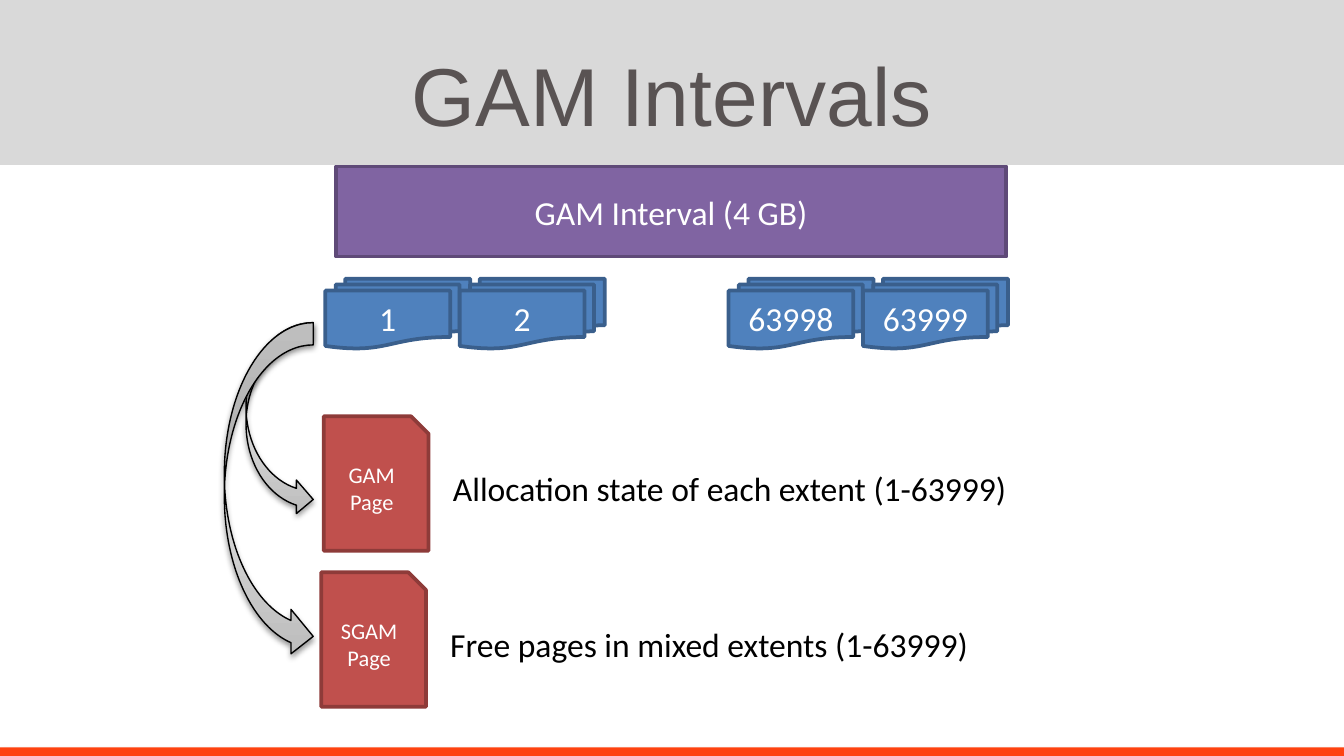
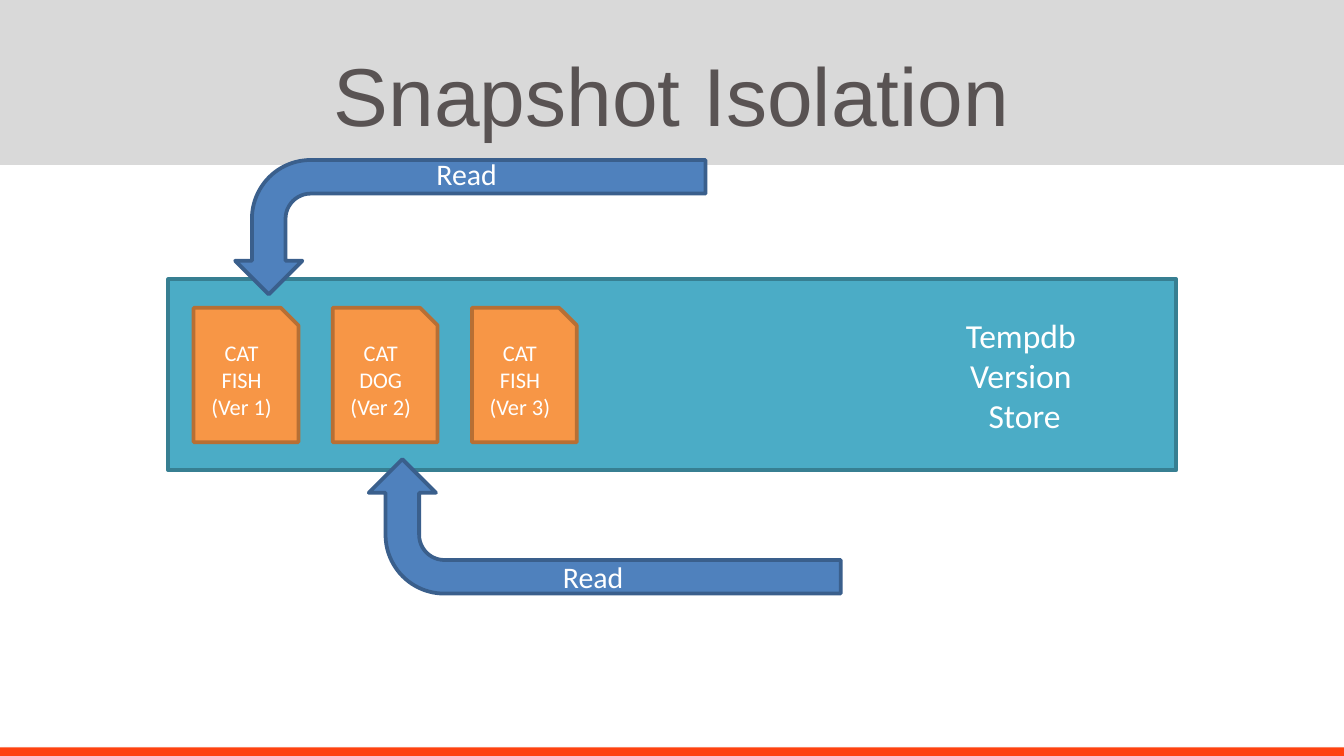
from lxml import etree
from pptx import Presentation
from pptx import util as u
from pptx.dml.color import RGBColor
from pptx.enum import shapes, text
from pptx.oxml.ns import qn

SHAPE = shapes.MSO_SHAPE
ALIGN = text.PP_ALIGN
WHITE, BLACK = "FFFFFF", "000000"
BAND, ACCENT, TITLE = "D9D9D9", "FE4210", "595353"
PURPLE = ("8064A2", "5F4A78")
BLUE = ("4F81BD", "3A5F8C")
RED = ("C0504D", "8E3B39")
TEAL = ("4BACC6", "377F92")
ORANGE = ("F79646", "B76F34")
GREYS = ((0, "BDBDBD"), (35, "D1D1D1"), (100, "EEEEEE"))
PAGE_W, PAGE_H = 1.98, 2.54


def rgb(value):
    return RGBColor.from_string(value)


def box(x, y, w, h):
    return [u.Cm(v) for v in (x, y, w, h)]


def node(parent, tag, **attrs):
    el = etree.SubElement(parent, qn(tag))
    for key, value in attrs.items():
        el.set(key, str(value))
    return el


def write(sp, content, size, color, font="Calibri", align=ALIGN.CENTER,
          anchor=text.MSO_ANCHOR.MIDDLE, wrap=True):
    tf = sp.text_frame
    for key, value in {"word_wrap": wrap, "vertical_anchor": anchor}.items():
        setattr(tf, key, value)
    for i, line in enumerate(content.split("\n")):
        p = tf.paragraphs[0] if i == 0 else tf.add_paragraph()
        p.alignment = align
        r = p.add_run()
        r.text = line
        for key, value in {"name": font, "size": u.Pt(size)}.items():
            setattr(r.font, key, value)
        r.font.color.rgb = rgb(color)


def add_shape(s, kind, place, fill, line=None, label="", size=18, width=2):
    sp = s.shapes.add_shape(kind, *box(*place))
    sp.shadow.inherit = False
    sp.fill.solid()
    sp.fill.fore_color.rgb = rgb(fill)
    if line:
        sp.line.color.rgb = rgb(line)
        sp.line.width = u.Pt(width)
    else:
        sp.line.fill.background()
    if label:
        write(sp, label, size, WHITE)
    return sp


def add_label(s, place, content, size, color=BLACK, align=ALIGN.LEFT):
    sp = s.shapes.add_textbox(*box(*place))
    write(sp, content, size, color, align=align,
          anchor=text.MSO_ANCHOR.TOP, wrap=False)
    sp.text_frame.auto_size = text.MSO_AUTO_SIZE.SHAPE_TO_FIT_TEXT


def add_shadow(sp, alpha, dist):
    effects = sp._element.spPr.find(qn("a:effectLst"))
    shadow = node(effects, "a:outerShdw", blurRad=u.Pt(3.1), dist=u.Pt(dist),
                  dir=5400000, rotWithShape=0)
    node(node(shadow, "a:srgbClr", val=BLACK), "a:alpha", val=alpha * 1000)


def add_page(s, x, y, colors, label):
    add_shape(s, SHAPE.SNIP_1_RECTANGLE, (x, y, PAGE_W, PAGE_H), *colors, label, 12)


def add_curved_arrow(s, place):
    sp = add_shape(s, SHAPE.CURVED_RIGHT_ARROW, place, GREYS[0][1], BLACK, width=0.75)
    sp.fill.gradient()
    grad = sp._element.spPr.find(qn("a:gradFill"))
    for child in list(grad):
        grad.remove(child)
    stops = node(grad, "a:gsLst")
    for pos, color in GREYS:
        node(node(stops, "a:gs", pos=pos * 1000), "a:srgbClr", val=color)
    node(grad, "a:lin", ang=16200000, scaled=1)
    add_shadow(sp, 38, 1.6)


def add_read_arrow(s, place, rotation, label_place, flip=False):
    sp = add_shape(s, SHAPE.BENT_ARROW, place, *BLUE)
    sp.rotation = rotation
    if flip:
        sp._element.spPr.find(qn("a:xfrm")).set("flipV", "1")
    add_label(s, label_place, "Read", 16, WHITE)


def add_slide(prs):
    s = prs.slides.add_slide(prs.slide_layouts[6])
    bar = add_shape(s, SHAPE.RECTANGLE, (0, 14.13, 25.4, 0.16), ACCENT)
    add_shadow(bar, 35, 1.8)
    add_shape(s, SHAPE.RECTANGLE, (0, 0, 25.4, 3.12), BAND)
    return s


def add_title(s, title):
    sp = s.shapes.add_textbox(*box(1.27, 0.58, 22.86, 2.39))
    write(sp, title, 44, TITLE, "Arial")


def gam_intervals(prs):
    s = add_slide(prs)
    add_title(s, "GAM Intervals")
    add_shape(s, SHAPE.RECTANGLE, (6.35, 3.15, 12.67, 1.7), *PURPLE,
              "GAM Interval (4 GB)")
    for column, extent in ((0, "1"), (1, "2"), (3, "63998"), (4, "63999")):
        add_shape(s, SHAPE.FLOWCHART_MULTIDOCUMENT,
                  (6.15 + 2.54 * column, 5.27, 2.74, 1.32), *BLUE, extent)
    for x, y, page, w, caption in (
            (6.12, 7.87, "GAM", 11.1, "Allocation state of each extent (1-63999)"),
            (6.07, 10.82, "SGAM", 10.41, "Free pages in mixed extents (1-63999)")):
        add_page(s, x, y, RED, page + "\nPage")
        add_label(s, (x + 2.19, y + 0.85, w, 1.02), caption, 18)
    add_curved_arrow(s, (4.65, 6.1, 1.27, 3.66))
    add_curved_arrow(s, (4.24, 6.1, 1.68, 6.35))


def snapshot_isolation(prs):
    s = add_slide(prs)
    add_shape(s, SHAPE.RECTANGLE, (3.18, 5.28, 19.05, 3.61), *TEAL)
    add_title(s, "Snapshot Isolation")
    add_read_arrow(s, (7.62, -0.15, 2.54, 8.89), 90, (8, 2.82, 1.68, 0.94), flip=True)
    add_read_arrow(s, (10.16, 5.49, 2.54, 8.92), 270, (10.39, 10.44, 1.68, 0.94))
    add_label(s, (17.98, 5.82, 2.77, 2.57), "Tempdb \nVersion \nStore", 18, WHITE,
              ALIGN.CENTER)
    for i, animal in enumerate(("FISH", "DOG", "FISH")):
        add_page(s, 3.66 + 2.63 * i, 5.82, ORANGE, f"CAT\n{animal}\n(Ver {i + 1})")


def main():
    prs = Presentation()
    prs.slide_width, prs.slide_height = u.Cm(25.4), u.Cm(14.29)
    gam_intervals(prs)
    snapshot_isolation(prs)
    prs.save("out.pptx")


if __name__ == "__main__":
    main()
